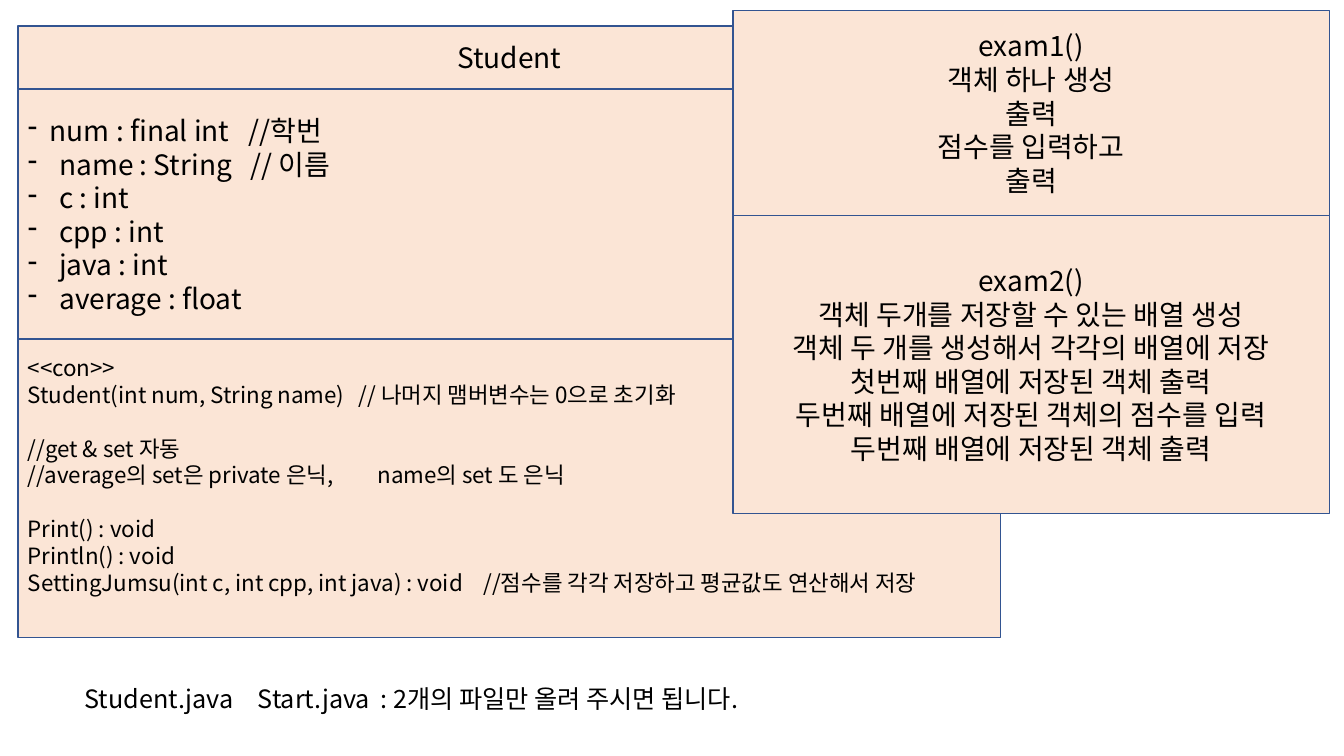
from lxml import etree
from pptx import Presentation
from pptx.dml.color import RGBColor
from pptx.enum.shapes import MSO_SHAPE
from pptx.enum.text import MSO_ANCHOR, PP_ALIGN
from pptx.oxml.ns import qn
from pptx.util import Pt

PX = 9525
FONT = "Noto Sans CJK KR"
COLORS = {"box": "FBE5D6", "line": "325491", "text": "000000"}
RECT = MSO_SHAPE.RECTANGLE
MIDDLE = MSO_ANCHOR.MIDDLE
LEFT, CENTER = PP_ALIGN.LEFT, PP_ALIGN.CENTER

FIELDS = [
    ("num : final int\t//학번", {"indent": 21, "tabs": [210]}),
    ("name : String\t// 이름", {"indent": 30, "tabs": [212]}),
    *((f"{name} : {kind}", {"indent": 30}) for name, kind in
      [("c", "int"), ("cpp", "int"), ("java", "int"), ("average", "float")]),
]
METHODS = [
    ("<<con>>", {}),
    ("Student(int num, String name)\t// 나머지 맴버변수는 0으로 초기화", {"tabs": [315]}),
    ("//get & set 자동", {"before": 19}),
    ("//average의 set은 private 은닉,\tname의 set 도 은닉", {"tabs": [333]}),
    ("Print() : void", {"before": 19}),
    ("Println() : void", {}),
    ("SettingJumsu(int c, int cpp, int java) : void\t//점수를 각각 저장하고 평균값도 연산해서 저장",
     {"tabs": [434]}),
]
EXAM1 = ["exam1()", "객체 하나 생성", "출력", "점수를 입력하고", "출력"]
EXAM2 = ["exam2()", "객체 두개를 저장할 수 있는 배열 생성", "객체 두 개를 생성해서 각각의 배열에 저장",
         "첫번째 배열에 저장된 객체 출력", "두번째 배열에 저장된 객체의 점수를 입력",
         "두번째 배열에 저장된 객체 출력"]
FOOTER = "Student.java\tStart.java\t: 2개의 파일만 올려 주시면 됩니다."


def rgb(name):
    return RGBColor.from_string(COLORS[name])


def format_paragraph(p, indent=0, tabs=(), before=0):
    """Set a hanging dash bullet, tab stops (px) and space before (pt)."""
    if before:
        p.space_before = Pt(before)
    pPr = p._p.get_or_add_pPr()
    if indent:
        pPr.set("marL", str(indent * PX))
        pPr.set("indent", str(-indent * PX))
        etree.SubElement(pPr, qn("a:buFontTx"))
        etree.SubElement(pPr, qn("a:buChar"), char="-")
    if tabs:
        stops = etree.SubElement(pPr, qn("a:tabLst"))
        for pos in tabs:
            etree.SubElement(stops, qn("a:tab"), pos=str(pos * PX), algn="l")


def write(tf, lines, size, align=LEFT):
    """Write (text, paragraph format) pairs, one paragraph each."""
    tf.word_wrap = True
    for i, (text, layout) in enumerate(lines):
        p = tf.add_paragraph() if i else tf.paragraphs[0]
        p.alignment = align
        format_paragraph(p, **layout)
        r = p.add_run()
        r.text = text
        r.font.size = Pt(size)
        r.font.name = FONT
        r.font.color.rgb = rgb("text")
        etree.SubElement(r._r.get_or_add_rPr(), qn("a:ea"), typeface=FONT)


def add_box(s, x, y, w, h, lines, size, align):
    sp = s.shapes.add_shape(RECT, x * PX, y * PX, w * PX, h * PX)
    sp.shadow.inherit = False
    sp.fill.solid()
    sp.fill.fore_color.rgb = rgb("box")
    sp.line.color.rgb = rgb("line")
    sp.line.width = Pt(1)
    sp.text_frame.vertical_anchor = MIDDLE
    write(sp.text_frame, lines, size, align)
    return sp


def add_stack(s, x, y, w, boxes):
    """Stack boxes without gaps; each is (height, lines, size, align)."""
    shapes = []
    for h, lines, size, align in boxes:
        shapes.append(add_box(s, x, y, w, h, lines, size, align))
        y += h
    return shapes


def add_label(s, x, y, w, h, lines, size):
    sp = s.shapes.add_textbox(x * PX, y * PX, w * PX, h * PX)
    write(sp.text_frame, lines, size)


def plain(texts):
    return [(text, {}) for text in texts]


def main():
    prs = Presentation()
    prs.slide_width, prs.slide_height = 1280 * PX, 720 * PX
    s = prs.slides.add_slide(prs.slide_layouts[6])

    student = add_stack(s, 17, 25, 936, [
        (60, plain(["Student"]), 20, CENTER),
        (238, FIELDS, 20, LEFT),
        (284, METHODS, 16, LEFT),
    ])
    student[-1].text_frame.margin_bottom = 30 * PX
    add_stack(s, 698, 10, 568, [
        (195, plain(EXAM1), 20, CENTER),
        (284, plain(EXAM2), 20, CENTER),
    ])
    add_label(s, 71, 646, 693, 38, [(FOOTER, {"tabs": [165, 282]})], 18)
    prs.save("out.pptx")


if __name__ == "__main__":
    main()
